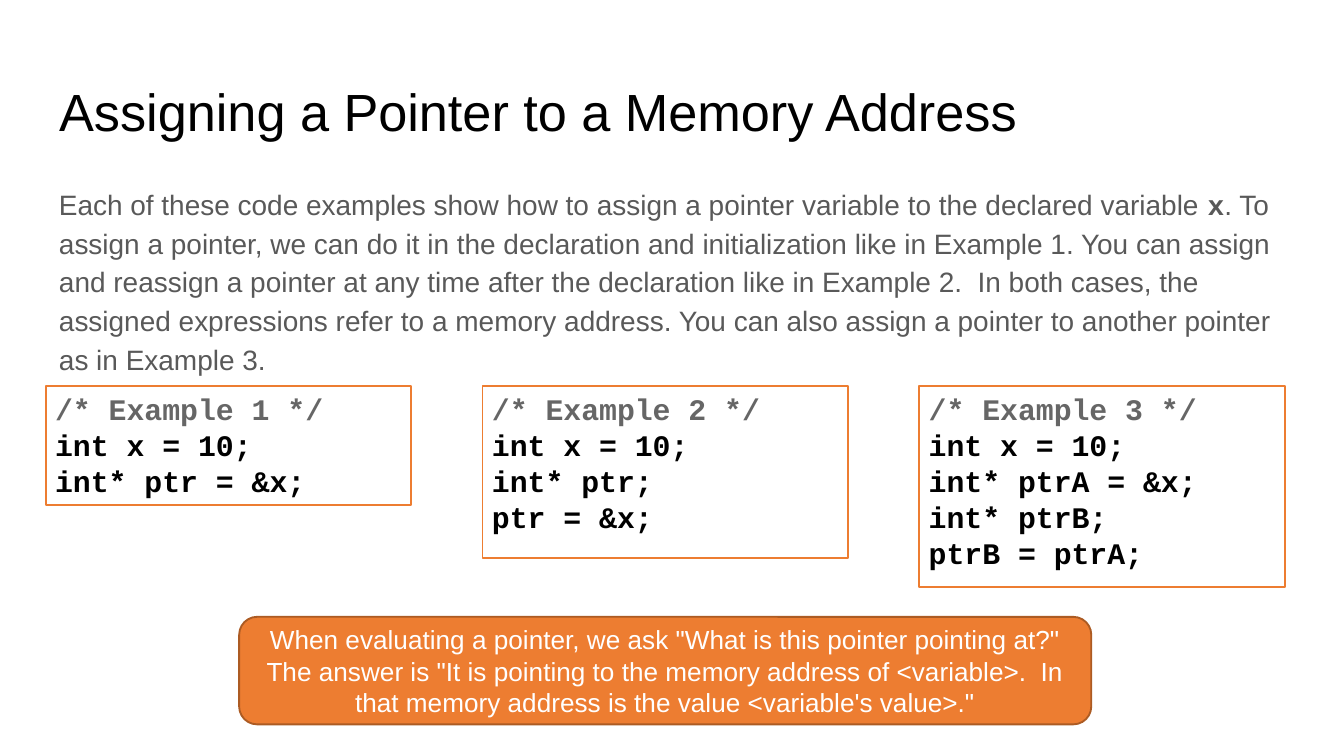
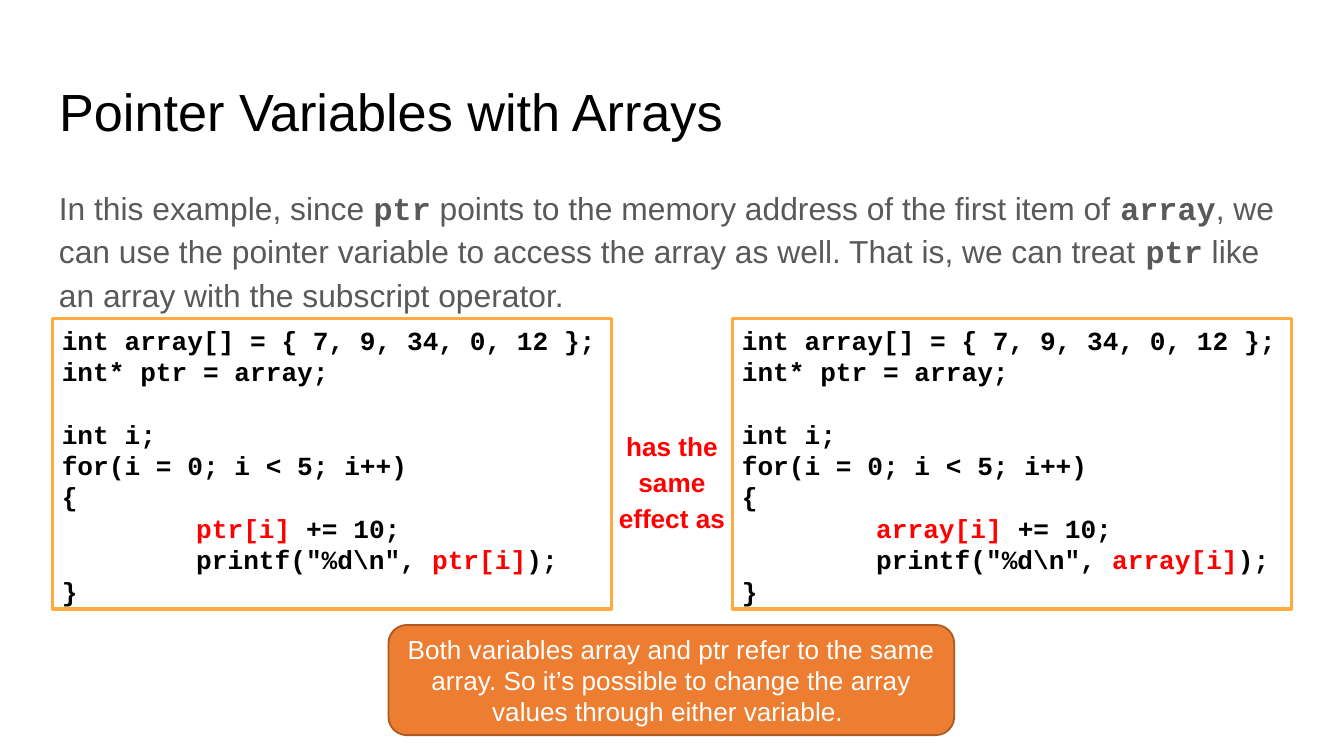
from lxml.etree import SubElement
from pptx import Presentation
from pptx.dml.color import RGBColor
from pptx.enum.shapes import MSO_SHAPE
from pptx.enum.text import MSO_ANCHOR, MSO_AUTO_SIZE, PP_ALIGN
from pptx.oxml.ns import qn
from pptx.util import Inches, Pt

COLORS = {
    "white": "FFFFFF",
    "title": "000000",
    "body": "595959",
    "code": "000000",
    "comment": "666666",
    "highlight": "FF0000",
    "orange": "ED7D31",
    "dark_orange": "AC5B23",
    "amber": "FFAB40",
}
TEXT_FONT = "Arial"
CODE_FONT = "Courier New"
MARGIN = 0.34
CONTENT_WIDTH = 9.32

EXAMPLES = [
    (0.89, ["/* Example 1 */", "int x = 10;", "int* ptr = &x;"]),
    (1.28, ["/* Example 2 */", "int x = 10;", "int* ptr;", "ptr = &x;"]),
    (1.5, ["/* Example 3 */", "int x = 10;", "int* ptrA = &x;", "int* ptrB;",
           "ptrB = ptrA;"]),
]


def color(name):
    return RGBColor.from_string(COLORS[name])


def style_font(font, name, size, color_name, bold=False):
    font.name = name
    font.size = Pt(size)
    font.bold = bold
    font.color.rgb = color(color_name)


def set_frame(text_frame, inset_x, inset_y, anchor=MSO_ANCHOR.TOP):
    text_frame.word_wrap = True
    text_frame.auto_size = MSO_AUTO_SIZE.NONE
    text_frame.vertical_anchor = anchor
    text_frame.margin_left = text_frame.margin_right = Inches(inset_x)
    text_frame.margin_top = text_frame.margin_bottom = Inches(inset_y)


def add_tab_stop(paragraph, position):
    properties = paragraph._p.get_or_add_pPr()
    tab_list = SubElement(properties, qn("a:tabLst"))
    SubElement(tab_list, qn("a:tab"), pos=str(Inches(position)), algn="l")


def add_marked_runs(paragraph, text, plain, marked):
    """Style text between backticks as marked and the rest as plain."""
    for index, piece in enumerate(text.split("`")):
        if piece:
            run = paragraph.add_run()
            run.text = piece
            style_font(run.font, *(marked if index % 2 else plain))


def add_titled_slide(presentation, title):
    slide = presentation.slides.add_slide(presentation.slide_layouts[5])
    shape = slide.shapes.title
    shape.left, shape.top = Inches(MARGIN), Inches(0.49)
    shape.width, shape.height = Inches(CONTENT_WIDTH), Inches(0.63)
    set_frame(shape.text_frame, 0.1, 0.1)
    shape.text_frame.text = title
    paragraph = shape.text_frame.paragraphs[0]
    paragraph.alignment = PP_ALIGN.LEFT
    style_font(paragraph.runs[0].font, TEXT_FONT, 28, "title")
    return slide


def add_text(slide, bounds, text, plain, marked=None, alignment=PP_ALIGN.LEFT):
    box = slide.shapes.add_textbox(*map(Inches, bounds))
    set_frame(box.text_frame, 0.1, 0.1)
    paragraph = box.text_frame.paragraphs[0]
    paragraph.alignment = alignment
    paragraph.line_spacing = 1.15
    add_marked_runs(paragraph, text, plain, marked)


def add_body(slide, text, size):
    add_text(slide, (MARGIN, 1.26, CONTENT_WIDTH, 3.74), text,
             (TEXT_FONT, size, "body"), (CODE_FONT, size, "body", True))


def add_box(slide, kind, bounds, fill, line, line_width):
    shape = slide.shapes.add_shape(kind, *map(Inches, bounds))
    shape.shadow.inherit = False
    shape.fill.solid()
    shape.fill.fore_color.rgb = color(fill)
    shape.line.color.rgb = color(line)
    shape.line.width = Pt(line_width)
    return shape


def add_code(slide, bounds, lines, size, line_color, line_width):
    shape = add_box(slide, MSO_SHAPE.RECTANGLE, bounds, "white", line_color, line_width)
    text_frame = shape.text_frame
    set_frame(text_frame, 0.07, 0.04)
    text_frame.text = "\n" * (len(lines) - 1)
    for paragraph, line in zip(text_frame.paragraphs, lines):
        paragraph.alignment = PP_ALIGN.LEFT
        if line.startswith("\t"):
            add_tab_stop(paragraph, 1)
        paragraph.font.size = Pt(size)
        plain_color = "comment" if line.startswith("/*") else "code"
        add_marked_runs(paragraph, line, (CODE_FONT, size, plain_color, True),
                        (CODE_FONT, size, "highlight", True))


def add_callout(slide, bounds, text):
    shape = add_box(slide, MSO_SHAPE.ROUNDED_RECTANGLE, bounds,
                    "orange", "dark_orange", 1)
    set_frame(shape.text_frame, 0.1, 0.05, MSO_ANCHOR.MIDDLE)
    shape.text_frame.text = text
    paragraph = shape.text_frame.paragraphs[0]
    paragraph.alignment = PP_ALIGN.CENTER
    style_font(paragraph.runs[0].font, TEXT_FONT, 14, "white")


def array_loop(name):
    return [
        "int array[] = { 7, 9, 34, 0, 12 };",
        "int* ptr = array;",
        "",
        "int i;",
        "for(i = 0; i < 5; i++)",
        "{",
        f"\t`{name}[i]` += 10;",
        f"\tprintf(\"%d\\n\", `{name}[i]`);",
        "}",
    ]


def build_address_slide(presentation):
    slide = add_titled_slide(presentation, "Assigning a Pointer to a Memory Address")
    add_body(slide, "Each of these code examples show how to assign a pointer variable "
             "to the declared variable `x`. To assign a pointer, we can do it in the "
             "declaration and initialization like in Example 1. You can assign and "
             "reassign a pointer at any time after the declaration like in Example 2.  "
             "In both cases, the assigned expressions refer to a memory address. You "
             "can also assign a pointer to another pointer as in Example 3.", 15)
    width, gap = 2.72, 0.53
    for index, (height, lines) in enumerate(EXAMPLES):
        left = MARGIN + index * (width + gap)
        add_code(slide, (left, 2.87, width, height), lines, 16, "orange", 1)
    add_callout(slide, (1.78, 4.59, 6.34, 0.8),
                'When evaluating a pointer, we ask "What is this pointer pointing at?" '
                'The answer is "It is pointing to the memory address of <variable>.  In '
                'that memory address is the value <variable\'s value>."')


def build_array_slide(presentation):
    slide = add_titled_slide(presentation, "Pointer Variables with Arrays")
    add_body(slide, "In this example, since `ptr` points to the memory address of the "
             "first item of `array`, we can use the pointer variable to access the array "
             "as well. That is, we can treat `ptr` like an array with the subscript "
             "operator.", 17)
    for left, name in ((0.39, "ptr"), (5.45, "array")):
        add_code(slide, (left, 2.37, 4.16, 2.16), array_loop(name), 14, "amber", 2)
    add_callout(slide, (2.89, 4.65, 4.21, 0.82),
                "Both variables array and ptr refer to the same array. So it’s possible "
                "to change the array values through either variable. ")
    add_text(slide, (4.48, 3.07, 1.04, 0.76), "has the same effect as",
             (TEXT_FONT, 14, "highlight", True), alignment=PP_ALIGN.CENTER)


def main():
    presentation = Presentation()
    presentation.slide_width = Inches(10)
    presentation.slide_height = presentation.slide_width * 9 // 16
    build_address_slide(presentation)
    build_array_slide(presentation)
    presentation.save("out.pptx")


if __name__ == "__main__":
    main()
